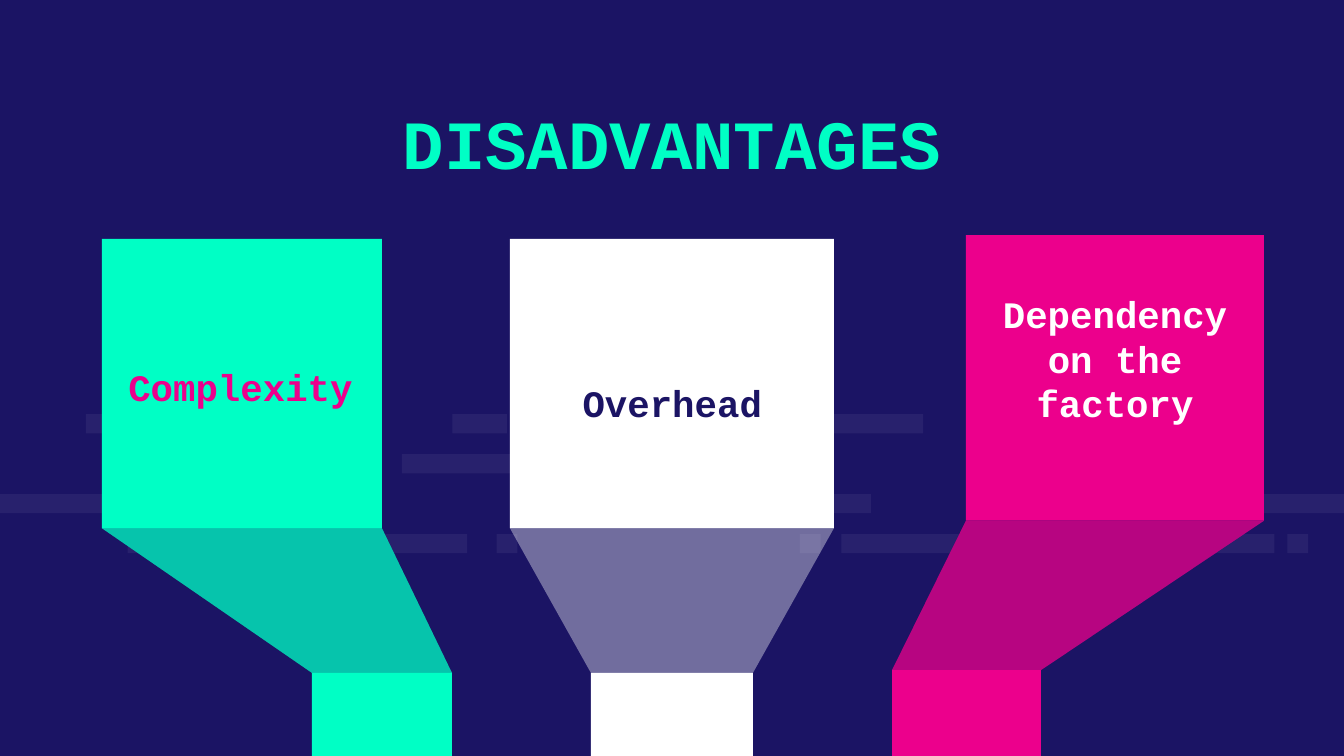
from lxml.etree import SubElement
from pptx import Presentation
from pptx.dml.color import RGBColor
from pptx.enum.shapes import MSO_SHAPE as Shape
from pptx.enum.text import MSO_ANCHOR as Anchor, PP_ALIGN as Align
from pptx.oxml.ns import qn
from pptx.util import Pt

NAVY, MINT, PINK, WHITE = "1B1464", "00FFC5", "EC008C", "FFFFFF"
FONT = "Courier New"
SLIDE_W, SLIDE_H = 720, 405

BAR_TOP, BAR_PITCH, BAR_H = 221.9, 21.4, 10.3
# Each row of background bars: (left, width)
BAR_ROWS = [
    [(46, 11), (242.4, 29.2), (404, 90.6)],
    [(215.3, 70.6)],
    [(0, 106.6), (360, 106.6), (613.4, 106.6)],
    [(68.4, 11.2), (90.7, 159.6), (266, 11.2), (428.5, 11.2), (450.7, 232),
     (689.6, 11.2)],
]


def rgb(color):
    return RGBColor.from_string(color)


def paint(sp, color, alpha=100):
    """Fill without outline or shadow; alpha is the opacity in percent."""
    sp.shadow.inherit = False
    sp.line.fill.background()
    sp.fill.solid()
    sp.fill.fore_color.rgb = rgb(color)
    if alpha < 100:
        clr = sp.fill._xPr.find(qn("a:solidFill"))[0]
        SubElement(clr, qn("a:alpha"), val=str(alpha * 1000))


def add_rect(s, left, top, width, height, color, alpha=100):
    sp = s.shapes.add_shape(Shape.RECTANGLE, Pt(left), Pt(top), Pt(width), Pt(height))
    paint(sp, color, alpha)


def add_polygon(s, points, color, alpha=100):
    start, *rest = [(Pt(x), Pt(y)) for x, y in points]
    builder = s.shapes.build_freeform(*start)
    builder.add_line_segments(rest)
    paint(builder.convert_to_shape(), color, alpha)


def add_bars(s):
    for i, row in enumerate(BAR_ROWS):
        for left, width in row:
            add_rect(s, left, BAR_TOP + i * BAR_PITCH, width, BAR_H, WHITE, 6)


def add_funnel(s, box, foot, color, layers):
    """Draw a box, its foot on the slide edge and the slanted wall between.

    box is left, top, right, bottom; foot is left, top, right;
    layers are the (colour, opacity) fills of the wall.
    """
    left, top, right, bottom = box
    foot_left, foot_top, foot_right = foot
    wall = [(foot_left, foot_top), (left, bottom), (right, bottom),
            (foot_right, foot_top)]
    for layer, alpha in layers:
        add_polygon(s, wall, layer, alpha)
    add_rect(s, foot_left, foot_top, foot_right - foot_left, SLIDE_H - foot_top, color)
    add_rect(s, left, top, right - left, bottom - top, color)


def add_text(s, text, box, size, color, anchor, margin_bottom):
    tf = s.shapes.add_textbox(*map(Pt, box)).text_frame
    tf.word_wrap = True
    tf.vertical_anchor = anchor
    tf.margin_top, tf.margin_bottom = Pt(7.2), Pt(margin_bottom)
    p = tf.paragraphs[0]
    p.text = text
    p.alignment = Align.CENTER
    p.font.name, p.font.size, p.font.bold = FONT, Pt(size), True
    p.font.color.rgb = rgb(color)


def add_label(s, text, left, top, width, color):
    add_text(s, text, (left, top, width, 26.6), 20, color, Anchor.BOTTOM, 0)


def main():
    prs = Presentation()
    prs.slide_width, prs.slide_height = Pt(SLIDE_W), Pt(SLIDE_H)
    s = prs.slides.add_slide(prs.slide_layouts[6])
    s.background.fill.solid()
    s.background.fill.fore_color.rgb = rgb(NAVY)

    add_bars(s)
    add_text(s, "DISADVANTAGES", (100.8, 46.8, 518.4, 52.6), 37, MINT, Anchor.TOP, 7.2)

    shade = (NAVY, 25)
    add_funnel(s, (273.2, 128, 446.8, 283), (316.6, 360.5, 403.4), WHITE, [(WHITE, 38)])
    add_funnel(s, (54.6, 128, 204.6, 283), (167.1, 360.5, 242.1), MINT,
               [(MINT, 100), shade])
    add_funnel(s, (517.5, 126, 677.1, 279), (477.9, 359, 557.7), PINK,
               [(PINK, 100), shade])

    add_label(s, "Complexity", 52.9, 192.5, 151.9, PINK)
    add_label(s, "Overhead", 278.8, 201.3, 162.8, NAVY)
    add_label(s, "Dependency on the factory", 512.8, 201.3, 169.2, WHITE)
    prs.save("out.pptx")


if __name__ == "__main__":
    main()
